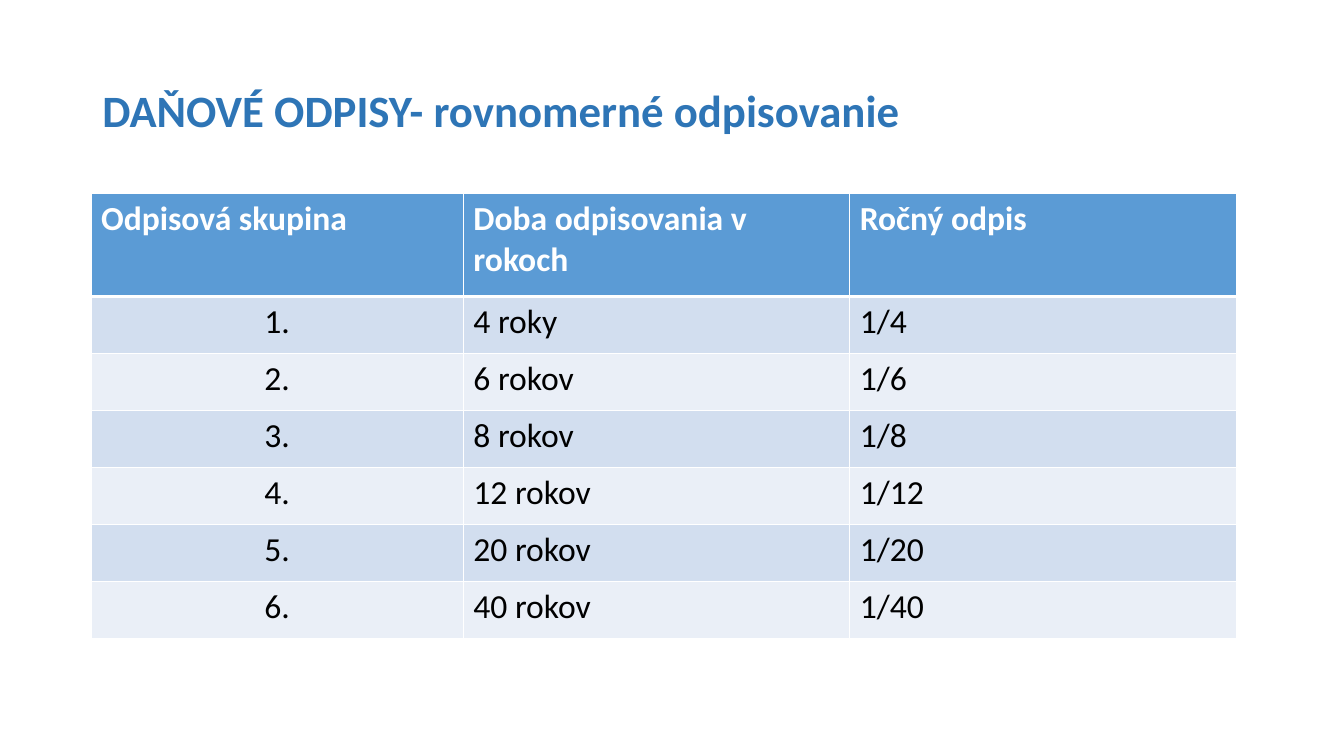
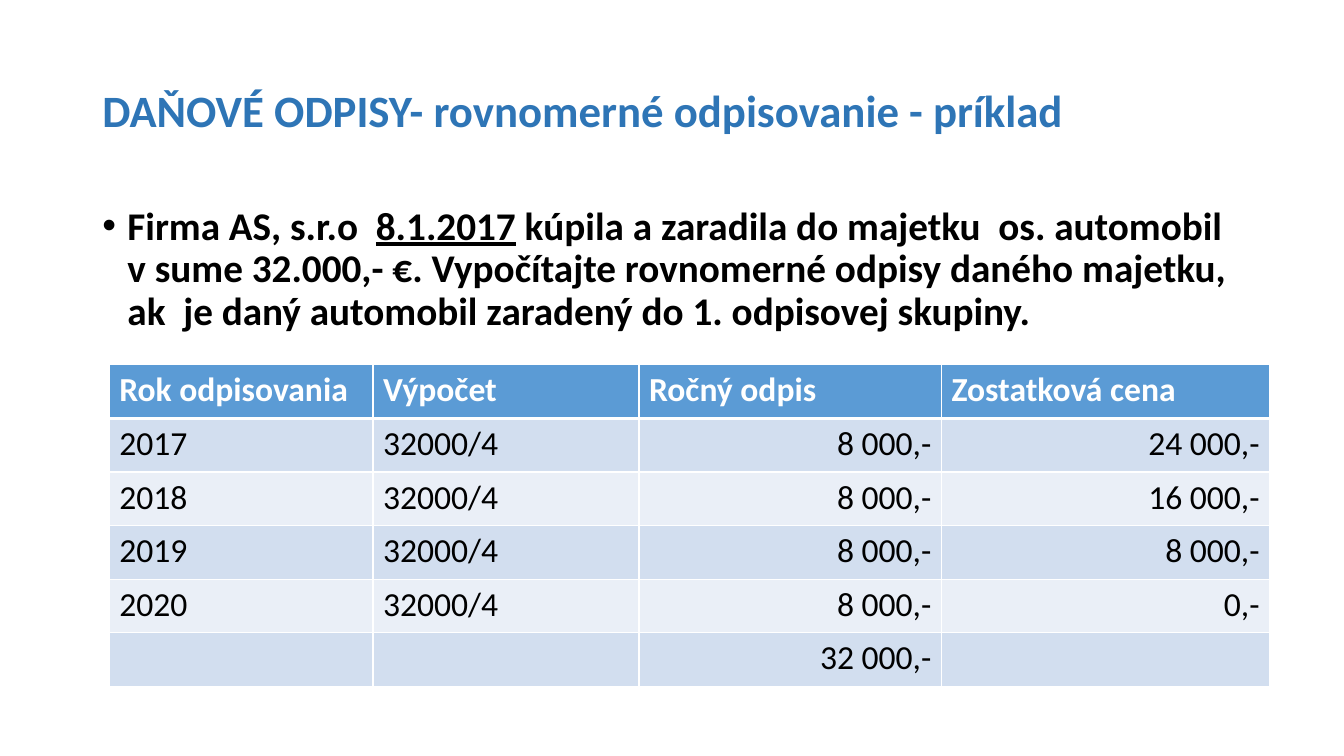
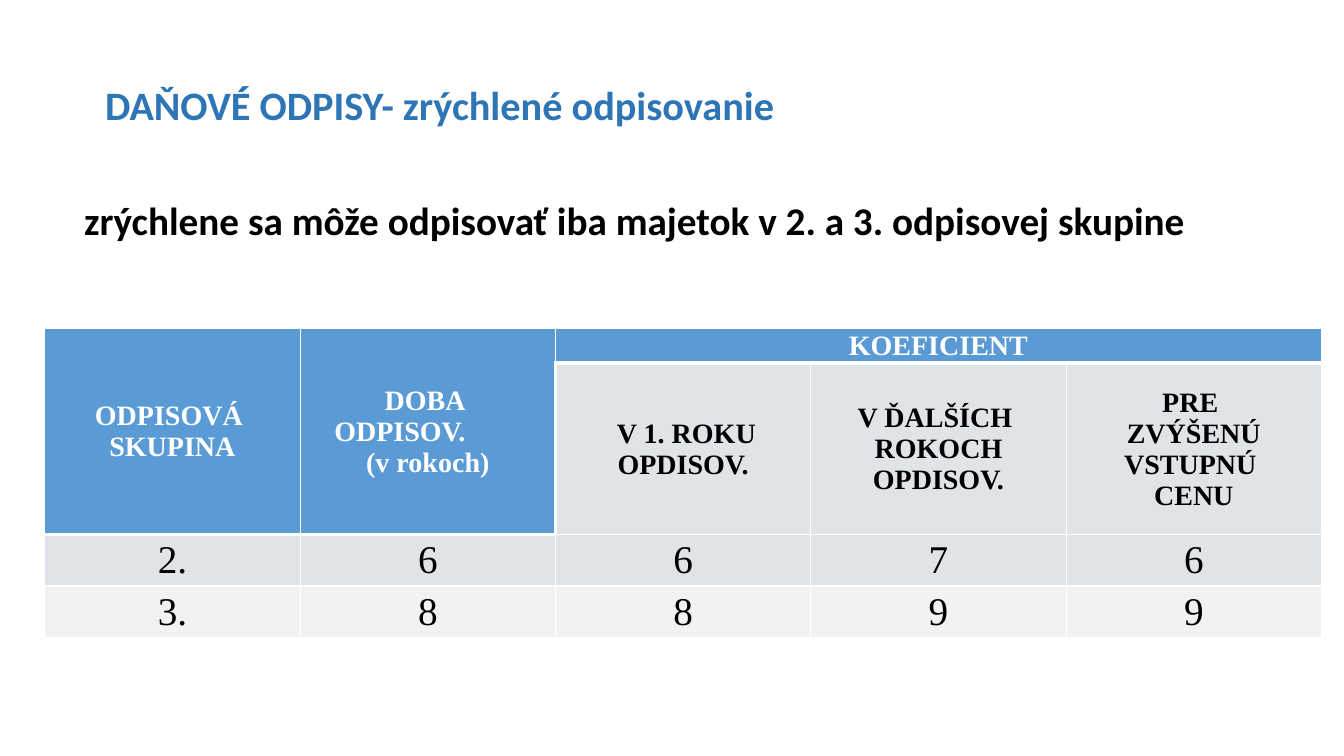
"""Build three slides on straight-line and accelerated tax depreciation."""
import dataclasses

import lxml.etree
import pptx
import pptx.dml.color
import pptx.enum.text
import pptx.oxml.ns
import pptx.util

Pt = pptx.util.Pt
ALIGN = pptx.enum.text.PP_ALIGN
ANCHOR = pptx.enum.text.MSO_ANCHOR
L, C, R = ALIGN.LEFT, ALIGN.CENTER, ALIGN.RIGHT

COLORS = {
    "title": "2E75B6",
    "text": "000000",
    "line": "FFFFFF",
    "head": "5B9BD5",
    "head_text": "FFFFFF",
    "blue_dark": "D2DEEF",
    "blue_light": "EAEFF7",
    "grey_dark": "E0E4E9",
    "grey_light": "F0F2F4",
}
BLUE_BANDS = ("blue_dark", "blue_light")
GREY_BANDS = ("grey_dark", "grey_light")
SIDES = {"lnL": (0, -1), "lnR": (0, 1), "lnT": (-1, 0), "lnB": (1, 0)}


@dataclasses.dataclass
class Box:
    left: float
    top: float
    width: float
    height: float


@dataclasses.dataclass
class Grid:
    left: float
    top: float
    cols: list[float]
    rows: list[float]
    texts: list[list[str]]
    aligns: list[ALIGN]
    heads: list[int]
    bands: tuple[str, str] = BLUE_BANDS
    font: str = "Calibri"
    head_size: float = 24
    body_size: float = 24
    margins: tuple[float, float, float, float] = (7.2, 3.6, 7.2, 3.6)
    anchor: ANCHOR = ANCHOR.TOP
    head_align: ALIGN = L
    merges: tuple[tuple[int, int, int, int], ...] = ()

    def is_head(self, row: int, col: int) -> bool:
        return row < self.heads[col]


def rgb(name: str) -> pptx.dml.color.RGBColor:
    return pptx.dml.color.RGBColor.from_string(COLORS[name])


def add_xml(parent, tag: str, **attrs: str):
    return lxml.etree.SubElement(parent, pptx.oxml.ns.qn(tag), attrs)


def style_runs(p, size: float, color: str, bold: bool, font: str = "Calibri") -> None:
    for r in p.runs:
        r.font.name = font
        r.font.size = Pt(size)
        r.font.bold = bold
        r.font.color.rgb = rgb(color)


def add_text(s, box: Box, parts: list[str], size: float, color: str = "text",
             anchor: ANCHOR = ANCHOR.TOP, spacing: float = 1.0):
    tf = s.shapes.add_textbox(Pt(box.left), Pt(box.top), Pt(box.width), Pt(box.height)).text_frame
    tf.word_wrap = True
    tf.vertical_anchor = anchor
    p = tf.paragraphs[0]
    p.line_spacing = spacing
    for part in parts:
        p.add_run().text = part
    style_runs(p, size, color, True)
    return p


def add_title(s, text: str, box: Box = Box(66, 29, 828, 104), size: float = 32) -> None:
    add_text(s, box, [text], size, "title", ANCHOR.MIDDLE, 0.9)


def add_bullet(p) -> None:
    p.space_before = Pt(10)
    pPr = p._p.get_or_add_pPr()
    pPr.set("marL", str(Pt(18)))
    pPr.set("indent", str(Pt(-18)))
    add_xml(pPr, "a:buFont", typeface="Arial")
    add_xml(pPr, "a:buChar", char="•")


def add_borders(cell, grid: Grid, row: int, col: int) -> None:
    tcPr = cell._tc.get_or_add_tcPr()
    for tag, (down, right) in SIDES.items():
        i, j = row + down, col + right
        inside = 0 <= i < len(grid.rows) and 0 <= j < len(grid.cols)
        edge = inside and down + right and grid.is_head(i, j) != grid.is_head(row, col)
        ln = add_xml(tcPr, f"a:{tag}", w=str(Pt(3 if edge else 1)))
        add_xml(add_xml(ln, "a:solidFill"), "a:srgbClr", val=COLORS["line"])


def fill_cell(cell, grid: Grid, row: int, col: int) -> None:
    head = grid.is_head(row, col)
    head_rows = max(grid.heads)
    top = row < head_rows
    add_borders(cell, grid, row, col)
    cell.fill.solid()
    cell.fill.fore_color.rgb = rgb("head" if head else grid.bands[max(0, row - head_rows) % 2])
    cell.margin_left, cell.margin_top, cell.margin_right, cell.margin_bottom = map(Pt, grid.margins)
    cell.vertical_anchor = grid.anchor
    cell.text_frame.text = grid.texts[row][col]
    for p in cell.text_frame.paragraphs:
        p.alignment = grid.head_align if top else grid.aligns[col]
        style_runs(p, grid.head_size if top else grid.body_size,
                   "head_text" if head else "text", top, grid.font)


def add_grid(s, grid: Grid):
    table = s.shapes.add_table(len(grid.rows), len(grid.cols), Pt(grid.left), Pt(grid.top),
                               Pt(sum(grid.cols)), Pt(sum(grid.rows))).table
    for col, width in enumerate(grid.cols):
        table.columns[col].width = Pt(width)
    for row, height in enumerate(grid.rows):
        table.rows[row].height = Pt(height)
        for col in range(len(grid.cols)):
            fill_cell(table.cell(row, col), grid, row, col)
    for top, left, bottom, right in grid.merges:
        table.cell(top, left).merge(table.cell(bottom, right))
    return table


def add_rates_slide(s) -> None:
    add_title(s, "DAŇOVÉ ODPISY- rovnomerné odpisovanie")
    periods = ["4 roky"] + [f"{years} rokov" for years in (6, 8, 12, 20, 40)]
    texts = [["Odpisová skupina", "Doba odpisovania v rokoch", "Ročný odpis"]]
    for group, period in enumerate(periods, 1):
        texts.append([f"{group}.", period, f"1/{period.split()[0]}"])
    add_grid(s, Grid(65, 138.4, [266, 276, 276], [73.4] + [40.7] * 6, texts, [C, L, L], [1] * 3))


def add_example_slide(s) -> None:
    add_title(s, "DAŇOVÉ ODPISY- rovnomerné odpisovanie - príklad")
    p = add_text(s, Box(66, 144, 828, 343), [
        "Firma AS, s.r.o  ",
        "8.1.2017",
        " kúpila a zaradila do majetku  os. automobil v sume 32.000,- €. Vypočítajte rovnomerné "
        "odpisy daného majetku, ak  je daný automobil zaradený do 1. odpisovej skupiny.",
    ], 28, spacing=0.9)
    p.runs[1].font.underline = True
    add_bullet(p)
    texts = [["Rok odpisovania", "Výpočet", "Ročný odpis", "Zostatková cena"]]
    for year, rest in enumerate(("24 000,-", "16 000,-", "8 000,-", "0,-"), 2017):
        texts.append([str(year), "32000/4", "8 000,-", rest])
    texts.append(["", "", "32 000,-", ""])
    add_grid(s, Grid(78, 260.6, [188.5, 190, 216, 234.5], [38.3] * 6, texts, [L, L, R, R], [1] * 4))


def add_accelerated_slide(s) -> None:
    add_title(s, "DAŇOVÉ ODPISY- zrýchlené odpisovanie", Box(68, 25, 828, 104), 28.8)
    texts = [
        ["ODPISOVÁ \nSKUPINA", "DOBA \nODPISOV.\n(v rokoch)", "KOEFICIENT", "", ""],
        ["", "", " V 1. ROKU OPDISOV.", "V ĎALŠÍCH \nROKOCH OPDISOV.",
         "PRE \nZVÝŠENÚ VSTUPNÚ \nCENU"],
        ["2.", "6", "6", "7", "6"],
        ["3.", "8", "8", "9", "9"],
    ]
    table = add_grid(s, Grid(
        32, 234.6, [182.4] * 5, [22, 122.4, 36.8, 36.8], texts, [C] * 5, [2, 2, 1, 1, 1],
        bands=GREY_BANDS, font="Times New Roman", head_size=20, body_size=28,
        margins=(1.4, 0.7, 1.4, 0), anchor=ANCHOR.MIDDLE, head_align=C,
        merges=((0, 0, 1, 0), (0, 1, 1, 1), (0, 2, 0, 4))))
    p = table.cell(0, 1).text_frame.paragraphs[1]
    p.alignment = L
    p._p.get_or_add_pPr().set("marL", str(Pt(23)))
    add_text(s, Box(53, 137, 801, 75),
             ["zrýchlene sa môže odpisovať iba majetok v 2. a 3. odpisovej skupine"], 28)


def main() -> None:
    prs = pptx.Presentation()
    prs.slide_width, prs.slide_height = Pt(960), Pt(540)
    for build in (add_rates_slide, add_example_slide, add_accelerated_slide):
        build(prs.slides.add_slide(prs.slide_layouts[6]))
    prs.save("out.pptx")


main()
